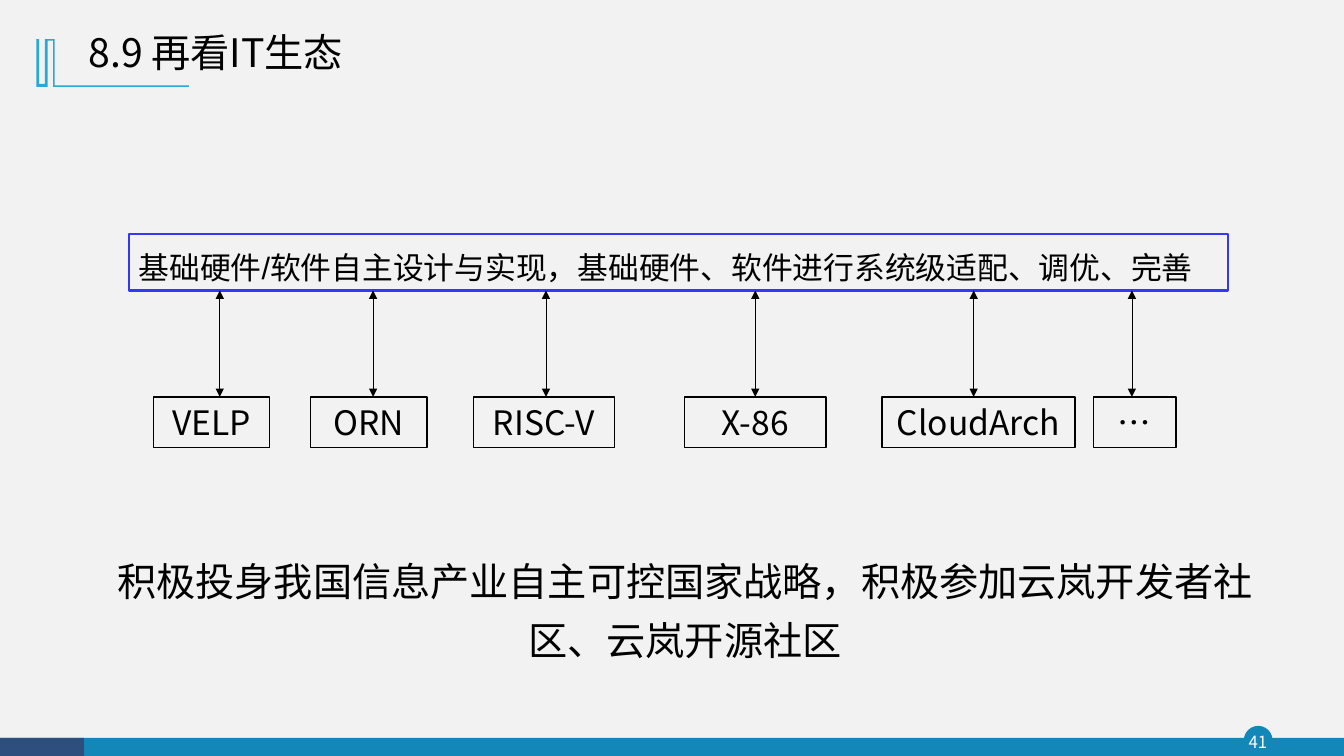
from pptx import Presentation
from pptx.dml.color import RGBColor
from pptx.enum.shapes import MSO_CONNECTOR, MSO_SHAPE
from pptx.enum.text import MSO_ANCHOR, MSO_AUTO_SIZE, PP_ALIGN
from pptx.oxml.ns import qn
from pptx.util import Pt
from lxml.etree import SubElement

SANS = "Noto Sans CJK SC"
BLUE = "1387B7"


def color(hex_string):
    return RGBColor.from_string(hex_string)


def write(shape, text, size, font=SANS, east_asian=SANS, align=PP_ALIGN.LEFT,
          ink="000000", spacing=None, insets=(7.2, 3.6)):
    frame = shape.text_frame
    frame.text = text
    frame.word_wrap = True
    frame.auto_size = MSO_AUTO_SIZE.NONE
    frame.vertical_anchor = MSO_ANCHOR.MIDDLE
    frame.margin_left = frame.margin_right = Pt(insets[0])
    frame.margin_top = frame.margin_bottom = Pt(insets[1])
    paragraph = frame.paragraphs[0]
    paragraph.alignment = align
    if spacing:
        paragraph.line_spacing = spacing
    paragraph.font.size = Pt(size)
    paragraph.font.name = font
    paragraph.font.color.rgb = color(ink)
    properties = paragraph._p.pPr.find(qn("a:defRPr"))
    SubElement(properties, qn("a:ea")).set("typeface", east_asian)


def add_box(slide, kind, left, top, width, height, fill=None, line=None, weight=1):
    shape = slide.shapes.add_shape(kind, Pt(left), Pt(top), Pt(width), Pt(height))
    shape.shadow.inherit = False
    if fill:
        shape.fill.solid()
        shape.fill.fore_color.rgb = color(fill)
    else:
        shape.fill.background()
    if line:
        shape.line.color.rgb = color(line)
        shape.line.width = Pt(weight)
    else:
        shape.line.fill.background()
    return shape


def add_text(slide, left, top, width, height, text, size, **style):
    box = slide.shapes.add_textbox(Pt(left), Pt(top), Pt(width), Pt(height))
    write(box, text, size, **style)


def add_double_arrow(slide, x, top, bottom):
    arrow = slide.shapes.add_connector(
        MSO_CONNECTOR.STRAIGHT, Pt(x), Pt(top), Pt(x), Pt(bottom))
    arrow.line.color.rgb = color("000000")
    arrow.line.width = Pt(0.5)
    outline = arrow.line._get_or_add_ln()
    for end in ("a:headEnd", "a:tailEnd"):
        SubElement(outline, qn(end)).set("type", "triangle")
    SubElement(arrow._element.spPr, qn("a:effectLst"))
    return arrow


def build_footer(slide, left, top, width, height):
    badge_left = left + 889
    badge_top = top - 8
    add_box(slide, MSO_SHAPE.OVAL, badge_left, badge_top, 19.5, 19.5, BLUE, BLUE)
    add_box(slide, MSO_SHAPE.RECTANGLE, left, top, width, height, BLUE)
    add_box(slide, MSO_SHAPE.RECTANGLE, left, top, 60, height, "2E4E7E")
    add_text(slide, badge_left - 2, badge_top, 23, 22, "41", 12,
             align=PP_ALIGN.CENTER, ink="FFFFFF", insets=(0, 0))


def build_header(slide, left, top, width, height):
    # Bracket ornament with a thin underline
    outline = [(13, 0), (13, 33.2), (108.9, 33.2), (108.9, 34.4), (11.6, 34.4),
               (11.6, 1.4), (8, 1.4), (8, 34.4), (0, 34.4), (0, 0),
               (2.2, 0), (2.2, 32.4), (5.8, 32.4), (5.8, 0)]
    points = [(left + x, top + y) for x, y in outline]
    builder = slide.shapes.build_freeform(*points[0], scale=Pt(1))
    builder.add_line_segments(points[1:], close=True)
    ornament = builder.convert_to_shape()
    ornament.shadow.inherit = False
    ornament.fill.solid()
    ornament.fill.fore_color.rgb = color("28A9D6")
    ornament.line.fill.background()

    # Title
    title = slide.shapes.title
    title.left, title.top = Pt(left + 30), Pt(top - 11.5)
    title.width, title.height = Pt(width - 30), Pt(height)
    write(title, "8.9 再看IT生态", 28)


def build_ecosystem(slide, left, top, width, bar_height):
    # Shared foundation bar
    bar = add_box(slide, MSO_SHAPE.RECTANGLE, left, top, width, bar_height,
                  line="3438F6", weight=1.5)
    write(bar, "基础硬件/软件自主设计与实现，基础硬件、软件进行系统级适配、调优、完善",
          22, font="Arial", spacing=1.25)

    # Architectures: name, distance from the bar's left, width, arrow shift
    architectures = [
        ("VELP", 17.5, 83, 6), ("ORN", 130, 83, 3), ("RISC-V", 246, 101, 1.5),
        ("X-86", 397, 101, 0), ("CloudArch", 538, 138, -3.5), ("…", 689, 59, -2)]
    bar_bottom = top + bar_height
    box_top = bar_bottom + 76
    for name, distance, box_width, shift in architectures:
        box_left = left + distance
        box = add_box(slide, MSO_SHAPE.RECTANGLE, box_left, box_top, box_width, 36,
                      line="000000")
        write(box, name, 24, align=PP_ALIGN.CENTER)
        arrow = add_double_arrow(
            slide, box_left + box_width / 2 + shift, bar_bottom, box_top)
        if shift == 0:
            arrow.end_connect(box, 0)


def main():
    presentation = Presentation()
    presentation.slide_width, presentation.slide_height = Pt(960), Pt(540)
    slide = presentation.slides.add_slide(presentation.slide_layouts[5])
    slide.background.fill.solid()
    slide.background.fill.fore_color.rgb = color("F2F2F2")

    build_footer(slide, 0, 527, 960, 13)
    build_header(slide, 26, 28, 308, 41)
    build_ecosystem(slide, 92, 167, 785, 40.5)

    # Call to action
    add_text(slide, 73.5, 387.5, 831.5, 88,
             "积极投身我国信息产业自主可控国家战略，积极参加云岚开发者社区、云岚开源社区",
             28, font="Noto Sans CJK JP", east_asian="Noto Sans CJK JP",
             align=PP_ALIGN.CENTER, spacing=Pt(42))
    presentation.save("out.pptx")


if __name__ == "__main__":
    main()
